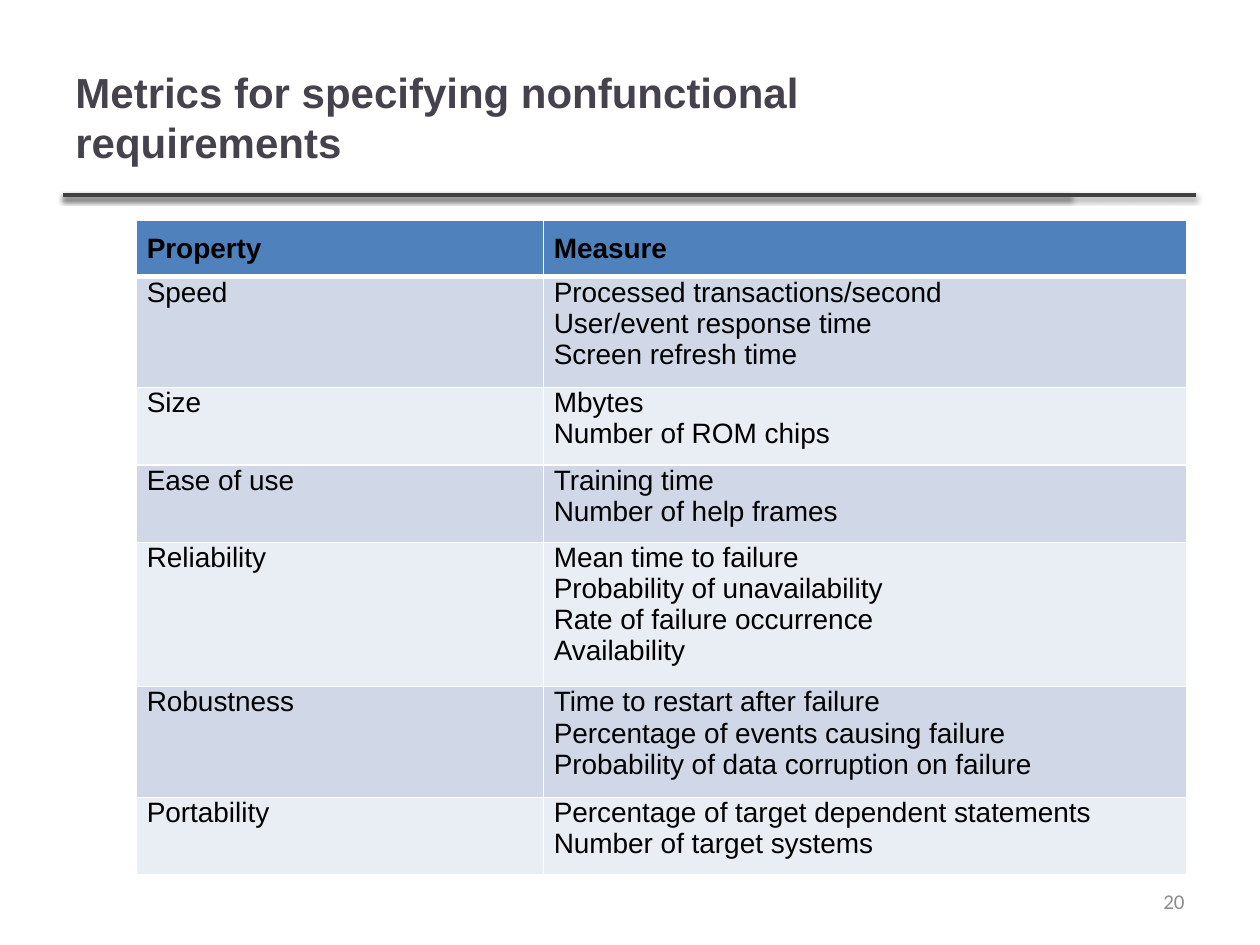
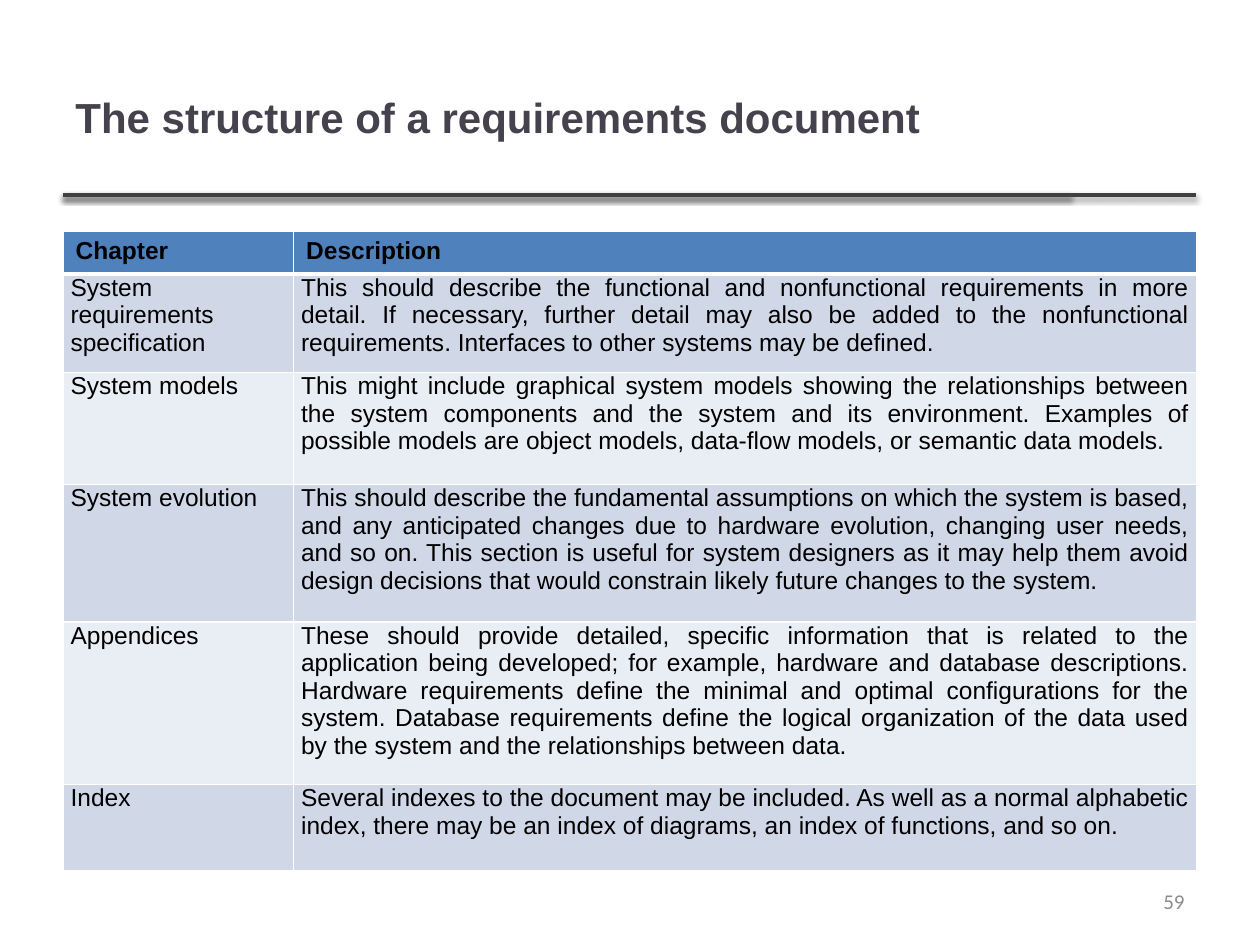
from pptx import Presentation
from pptx import util as u
from pptx.dml.color import RGBColor
from pptx.enum import shapes, text
from pptx.oxml import parse_xml
from pptx.oxml.ns import nsdecls


class Theme:
    title = dict(name="Arial", size=24, bold=True, color="46424D")
    number = dict(name="Calibri", size=12, bold=False, color="8C8C8C")
    cell = dict(name="Arial", color="000000")
    rule, rule_width = "404040", 2.5
    header, bands = "4F81BD", ("D0D8E8", "E9EDF4")
    border, thin, thick = "FFFFFF", 1, 3


# The slide is a grid of 20 columns by 30 rows; boxes are (col, row, cols, rows)
WIDTH, HEIGHT = u.Inches(10), u.Inches(7.5)
COL, ROW = WIDTH // 20, HEIGHT // 30
TITLE_BOX = (1, 1.2, 15.96, 5)
NUMBER_BOX = (14.34, 27.8, 4.66, 1.6)
RULE_ROW, RULE_START, RULE_ENDS = 6.2, 1, (16.98, 18.98)

JUSTIFY, LEFT = text.PP_ALIGN.JUSTIFY, text.PP_ALIGN.LEFT

METRICS = dict(
    box=(2.17, 7, 16.66, 19.92), columns=(3.23, 5.1),
    heights=(0.44, 0.85, 0.59, 0.59, 1.09, 0.84, 0.59),
    size=16, header_align=JUSTIFY,
    header_insets=(0.08, 0.1, 0.08, 0.08), insets=(0.08, 0, 0.08, 0.08),
    rows=[
        ("Property", "Measure"),
        ("Speed", "Processed transactions/second\nUser/event response time\nScreen refresh time"),
        ("Size", "Mbytes\nNumber of ROM chips"),
        ("Ease of use", "Training time\nNumber of help frames"),
        ("Reliability", "Mean time to failure\nProbability of unavailability\n"
                        "Rate of failure occurrence\nAvailability"),
        ("Robustness", "Time to restart after failure\nPercentage of events causing failure\n"
                       "Probability of data corruption on failure"),
        ("Portability", "Percentage of target dependent statements\nNumber of target systems"),
    ])

CHAPTERS = dict(
    box=(1, 7.34, 18, 20.28), columns=(1.83, 7.17),
    heights=(0.34, 0.77, 0.89, 1.09, 1.29, 0.69),
    size=14, header_align=LEFT,
    header_insets=(0.1, 0.05, 0.1, 0.04), insets=(0.06, 0, 0.06, 0.08),
    rows=[
        ("Chapter", "Description"),
        ("System requirements specification",
         "This should describe the functional and nonfunctional requirements in more detail. "
         "If necessary, further detail may also be added to the nonfunctional requirements. "
         "Interfaces to other systems may be defined."),
        ("System models",
         "This might include graphical system models showing the relationships between the "
         "system components and the system and its environment. Examples of possible models "
         "are object models, data-flow models, or semantic data models."),
        ("System evolution",
         "This should describe the fundamental assumptions on which the system is based, and "
         "any anticipated changes due to hardware evolution, changing user needs, and so on. "
         "This section is useful for system designers as it may help them avoid design "
         "decisions that would constrain likely future changes to the system."),
        ("Appendices",
         "These should provide detailed, specific information that is related to the "
         "application being developed; for example, hardware and database descriptions. "
         "Hardware requirements define the minimal and optimal configurations for the system. "
         "Database requirements define the logical organization of the data used by the "
         "system and the relationships between data."),
        ("Index",
         "Several indexes to the document may be included. As well as a normal alphabetic "
         "index, there may be an index of diagrams, an index of functions, and so on."),
    ])


def place(box):
    col, row, cols, rows = box
    return int(col * COL), int(row * ROW), int(cols * COL), int(rows * ROW)


def write(tf, content, style, align):
    """Write one paragraph per line of content."""
    for i, line in enumerate(content.split("\n")):
        p = tf.paragraphs[0] if i == 0 else tf.add_paragraph()
        p.alignment = align
        r = p.add_run()
        r.text = line
        for key, value in style.items():
            if key == "color":
                r.font.color.rgb = RGBColor.from_string(value)
            else:
                setattr(r.font, key, u.Pt(value) if key == "size" else value)


def add_text(s, box, content, style, align=LEFT):
    tf = s.shapes.add_textbox(*place(box)).text_frame
    tf.word_wrap = True
    tf.vertical_anchor = text.MSO_ANCHOR.MIDDLE
    write(tf, content, style, align)


def add_rule(s):
    """Two overlapping shadowed lines under the title."""
    y = int(RULE_ROW * ROW)
    for end in RULE_ENDS:
        sp = s.shapes.add_connector(shapes.MSO_CONNECTOR.STRAIGHT,
                                    RULE_START * COL, y, int(end * COL), y)
        sp.line.color.rgb = RGBColor.from_string(Theme.rule)
        sp.line.width = u.Pt(Theme.rule_width)
        sp._element.spPr.append(parse_xml(
            f'<a:effectLst {nsdecls("a")}><a:outerShdw blurRad="{u.Pt(3.1)}" '
            f'dist="{u.Pt(1.6)}" dir="5400000" rotWithShape="0"><a:srgbClr val="000000">'
            '<a:alpha val="38000"/></a:srgbClr></a:outerShdw></a:effectLst>'))


def add_borders(cell, top, bottom):
    tcPr = cell._tc.get_or_add_tcPr()
    widths = dict(L=Theme.thin, R=Theme.thin, T=top, B=bottom)
    for side, width in widths.items():
        tcPr.append(parse_xml(
            f'<a:ln{side} {nsdecls("a")} w="{u.Pt(width)}"><a:solidFill>'
            f'<a:srgbClr val="{Theme.border}"/></a:solidFill></a:ln{side}>'))


def add_table(s, data):
    rows = data["rows"]
    table = s.shapes.add_table(len(rows), len(rows[0]), *place(data["box"])).table
    table.first_row = table.horz_banding = False
    for column, width in zip(table.columns, data["columns"]):
        column.width = u.Inches(width)
    for i, (row, height) in enumerate(zip(table.rows, data["heights"])):
        row.height = u.Inches(height)
        header = i == 0
        insets = data["header_insets" if header else "insets"]
        for cell, content in zip(row.cells, rows[i]):
            # Borders come before the fill in the cell properties
            add_borders(cell, Theme.thick if i == 1 else Theme.thin,
                        Theme.thick if header else Theme.thin)
            cell.fill.solid()
            cell.fill.fore_color.rgb = RGBColor.from_string(
                Theme.header if header else Theme.bands[(i - 1) % 2])
            for side, inset in zip(("left", "top", "right", "bottom"), insets):
                setattr(cell, f"margin_{side}", u.Inches(inset))
            write(cell.text_frame, content,
                  dict(Theme.cell, size=data["size"], bold=header),
                  data["header_align"] if header else JUSTIFY)


def add_table_slide(prs, title, data, number):
    s = prs.slides.add_slide(prs.slide_layouts[6])
    add_rule(s)
    add_text(s, TITLE_BOX, title, Theme.title)
    add_table(s, data)
    add_text(s, NUMBER_BOX, str(number), Theme.number, text.PP_ALIGN.RIGHT)


def main():
    prs = Presentation()
    prs.slide_width, prs.slide_height = WIDTH, HEIGHT
    add_table_slide(prs, "Metrics for specifying nonfunctional requirements", METRICS, 20)
    add_table_slide(prs, "The structure of a requirements document", CHAPTERS, 59)
    prs.save("out.pptx")


if __name__ == "__main__":
    main()
